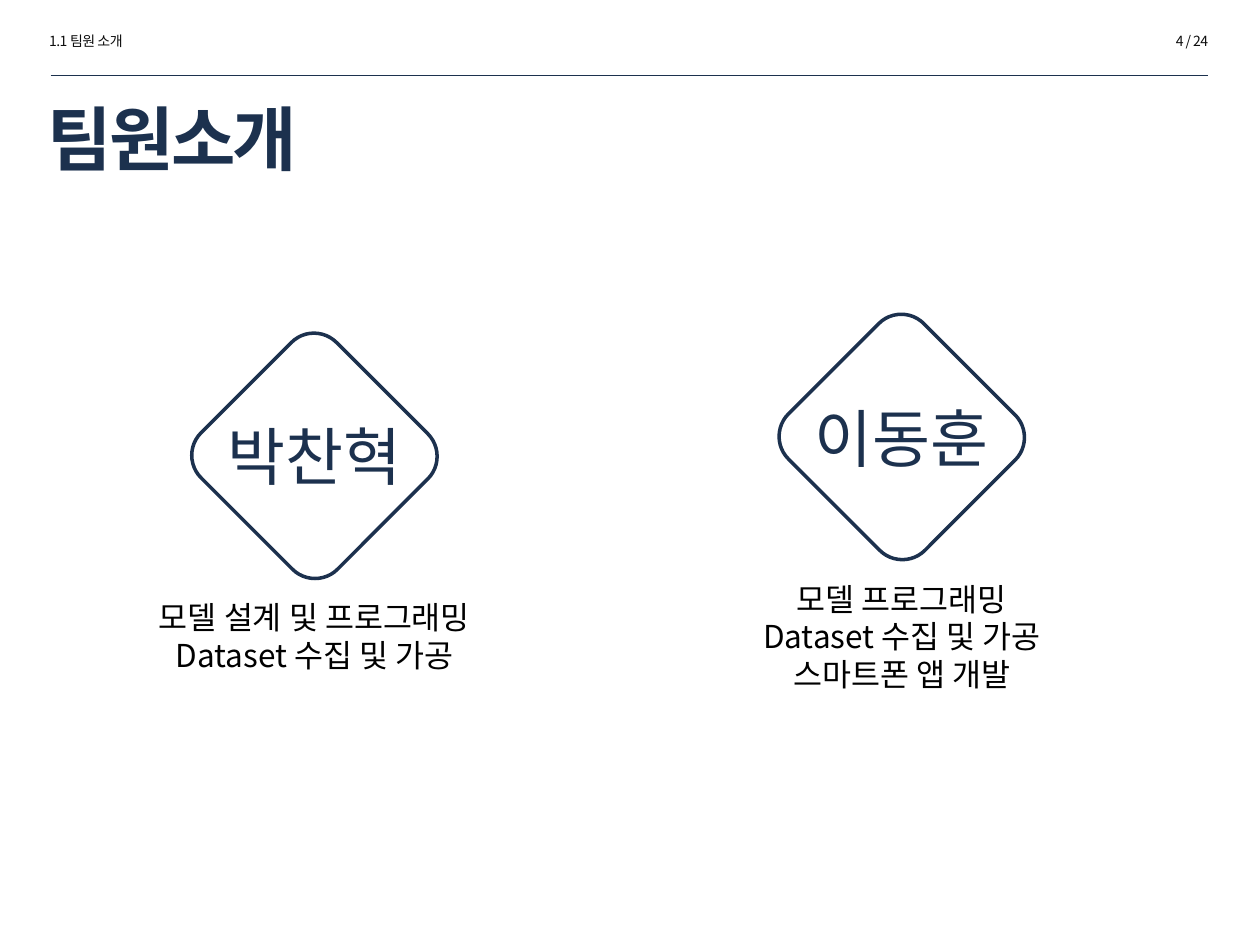
import pptx
import pptx.util
import pptx.dml.color
import pptx.enum.shapes
import pptx.enum.text
from lxml import etree
from pptx.util import Cm, Pt

FONT = "Noto Sans CJK KR"
COLORS = {"navy": "1C314E", "gray": "0D0D0D", "black": "000000", "white": "FFFFFF"}
ALIGN = pptx.enum.text.PP_ALIGN


def rgb(name):
    return pptx.dml.color.RGBColor.from_string(COLORS[name])


def write_text(shape, text, size, color, align=ALIGN.LEFT, bold=False, spacing=0):
    frame = shape.text_frame
    frame.text = text
    frame.word_wrap = True
    frame.auto_size = pptx.enum.text.MSO_AUTO_SIZE.NONE
    for paragraph in frame.paragraphs:
        paragraph.alignment = align
        paragraph.line_spacing = Pt(size * 1.2)
        for run in paragraph.runs:
            run.font.name = FONT
            run.font.size = Pt(size)
            run.font.bold = bold
            run.font.color.rgb = rgb(color)
            properties = run.font._element
            if spacing:
                properties.set("spc", str(round(spacing * 100)))
            east_asian = etree.SubElement(properties, pptx.oxml.ns.qn("a:ea"))
            east_asian.set("typeface", FONT)


presentation = pptx.Presentation()
presentation.slide_width = Cm(25.4)
presentation.slide_height = Cm(19.05)
slide = presentation.slides.add_slide(presentation.slide_layouts[5])

# Header: section name, page number and rule
for left, text, align in [(0.74, "1.1 팀원 소개", ALIGN.LEFT), (20.22, "4 / 24", ALIGN.RIGHT)]:
    header = slide.shapes.add_textbox(Cm(left), Cm(0.53), Cm(4.39), Cm(0.61))
    write_text(header, text, 8, "gray", align, spacing=-0.3)

rule = slide.shapes.add_connector(
    pptx.enum.shapes.MSO_CONNECTOR.STRAIGHT, Cm(1.02), Cm(1.52), Cm(24.36), Cm(1.52))
rule.line.color.rgb = rgb("navy")
rule.line.width = Pt(0.25)
etree.SubElement(rule._element.spPr, pptx.oxml.ns.qn("a:effectLst"))

# Title
title = slide.shapes.title
title.left, title.top, title.width, title.height = Cm(0.71), Cm(1.96), Cm(19.43), Cm(1.63)
write_text(title, "팀원소개", 40, "navy", bold=True, spacing=-1.5)
title.text_frame.vertical_anchor = pptx.enum.text.MSO_ANCHOR.MIDDLE

# Team members: centre, top, name, width and height of the roles, roles
members = [
    (6.34, 7.26, "박찬혁", 9.27, 2.57, ["모델 설계 및 프로그래밍", "Dataset 수집 및 가공"]),
    (18.18, 6.88, "이동훈", 11.07, 3.33,
     ["모델 프로그래밍", "Dataset 수집 및 가공", "스마트폰 앱 개발"]),
]
diamond_width, diamond_height, name_width = 3.89, 3.86, 5.13
for center, top, name, roles_width, roles_height, roles in members:
    group = slide.shapes.add_group_shape()

    diamond = group.shapes.add_shape(
        pptx.enum.shapes.MSO_SHAPE.ROUNDED_RECTANGLE,
        Cm(center - diamond_width / 2), Cm(top), Cm(diamond_width), Cm(diamond_height))
    diamond.rotation = 45
    diamond.shadow.inherit = False
    diamond.fill.solid()
    diamond.fill.fore_color.rgb = rgb("white")
    diamond.line.color.rgb = rgb("navy")
    diamond.line.width = Pt(2)

    name_box = group.shapes.add_textbox(
        Cm(center - name_width / 2), Cm(top + 1.04), Cm(name_width), Cm(1.8))
    write_text(name_box, name, 36, "navy", ALIGN.CENTER)

    roles_box = group.shapes.add_textbox(
        Cm(center - roles_width / 2), Cm(top + 4.68), Cm(roles_width), Cm(roles_height))
    write_text(roles_box, "\n".join(roles), 18, "black", ALIGN.CENTER)

presentation.save("out.pptx")
